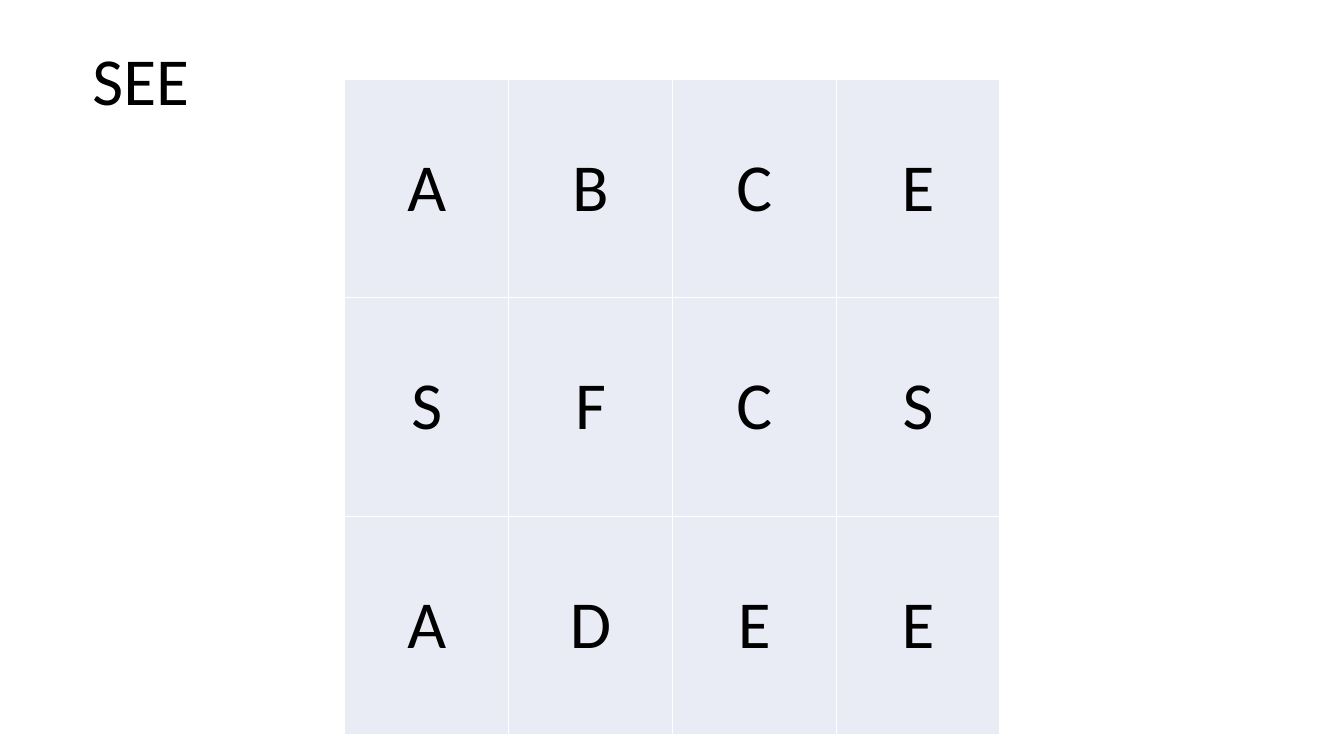
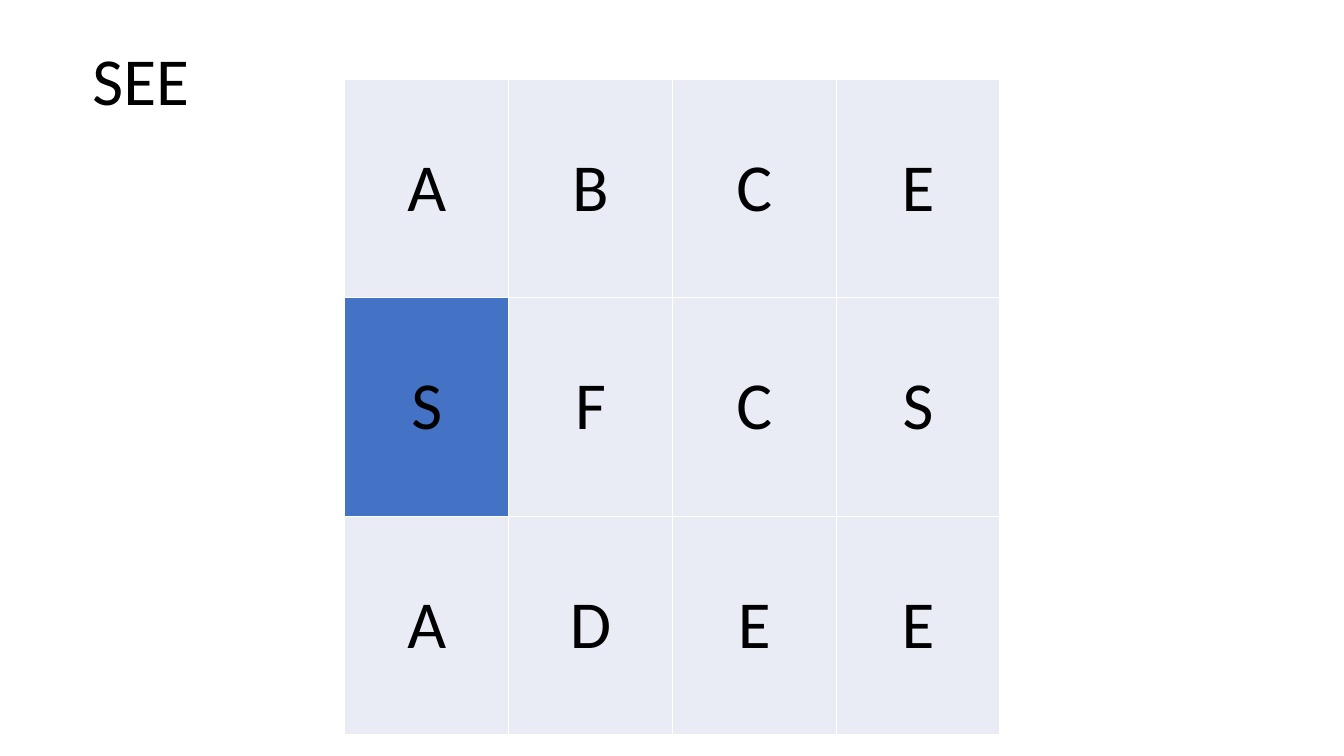
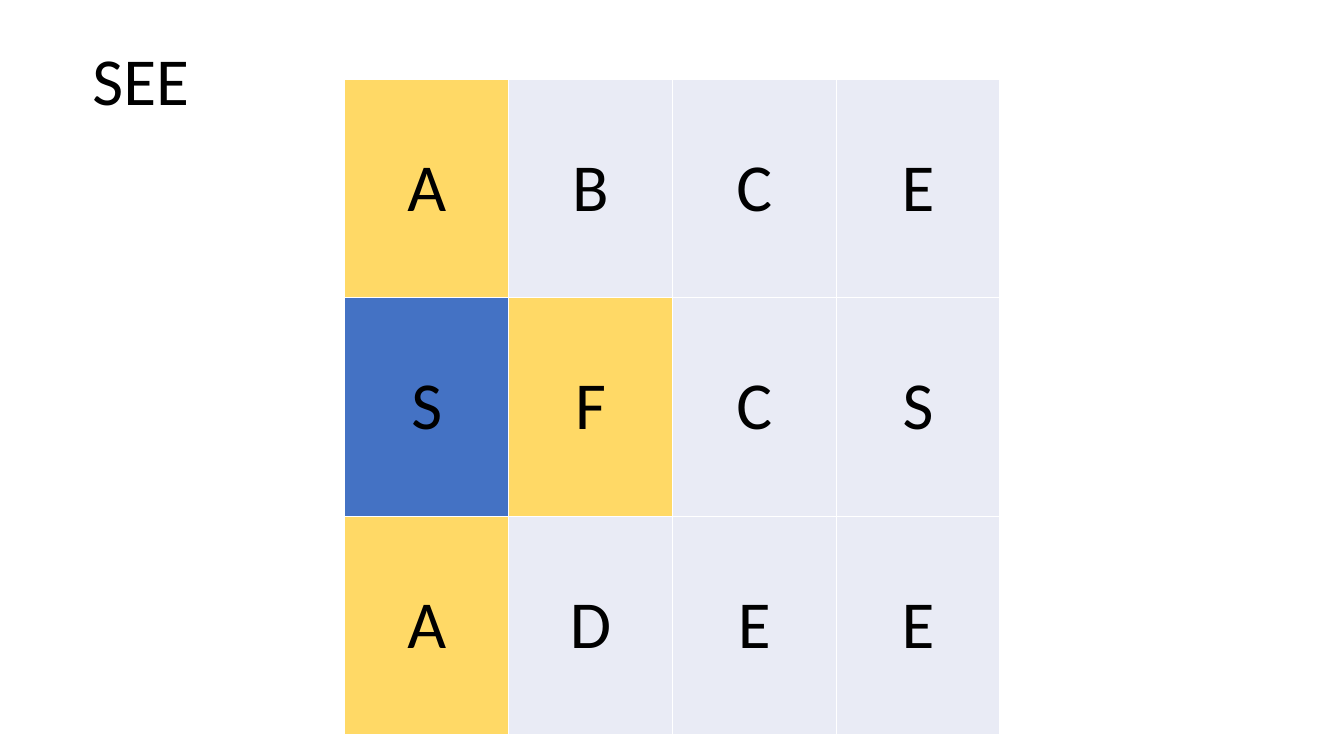
from lxml import etree
from pptx import Presentation
from pptx import util as u
from pptx.dml.color import RGBColor
from pptx.enum import text
from pptx.oxml.ns import qn

BLACK = RGBColor(0x00, 0x00, 0x00)
WHITE = RGBColor(0xFF, 0xFF, 0xFF)
PALE = RGBColor(0xE9, 0xEB, 0xF5)
BLUE = RGBColor(0x44, 0x72, 0xC4)
YELLOW = RGBColor(0xFF, 0xD9, 0x66)

WORD = "SEE"
BOARD = ["ABCE", "SFCS", "ADEE"]
START = {(1, 0): BLUE}
NEIGHBOURS = {(0, 0): YELLOW, (1, 1): YELLOW, (2, 0): YELLOW}
STEPS = [{}, START, START | NEIGHBOURS]
SIDE = u.Cm(16.51)


def add_run(p, content):
    r = p.add_run()
    r.text = content
    r.font.name = "Calibri"
    r.font.size = u.Pt(48)
    r.font.color.rgb = BLACK


def add_borders(cell):
    tcPr = cell._tc.get_or_add_tcPr()
    for side in ("lnL", "lnR", "lnT", "lnB"):
        ln = etree.SubElement(tcPr, qn(f"a:{side}"), w=str(u.Pt(1)))
        fill = etree.SubElement(ln, qn("a:solidFill"))
        etree.SubElement(fill, qn("a:srgbClr"), val=str(WHITE))


prs = Presentation()
prs.slide_width = u.Cm(33.87)
prs.slide_height = u.Cm(19.05)

for highlights in STEPS:
    s = prs.slides.add_slide(prs.slide_layouts[6])

    table = s.shapes.add_table(
        len(BOARD), len(BOARD[0]), u.Cm(8.69), u.Cm(2), SIDE, SIDE
    ).table
    table.first_row = False
    table.horz_banding = False
    for i, letters in enumerate(BOARD):
        for j, letter in enumerate(letters):
            cell = table.cell(i, j)
            add_borders(cell)
            cell.fill.solid()
            cell.fill.fore_color.rgb = highlights.get((i, j), PALE)
            cell.vertical_anchor = text.MSO_ANCHOR.MIDDLE
            p = cell.text_frame.paragraphs[0]
            p.alignment = text.PP_ALIGN.CENTER
            add_run(p, letter)

    sp = s.shapes.add_textbox(u.Cm(2.08), u.Cm(0.84), u.Cm(8.69), u.Cm(2.31))
    tf = sp.text_frame
    tf.word_wrap = True
    tf.auto_size = text.MSO_AUTO_SIZE.SHAPE_TO_FIT_TEXT
    add_run(tf.paragraphs[0], WORD)

prs.save("out.pptx")
